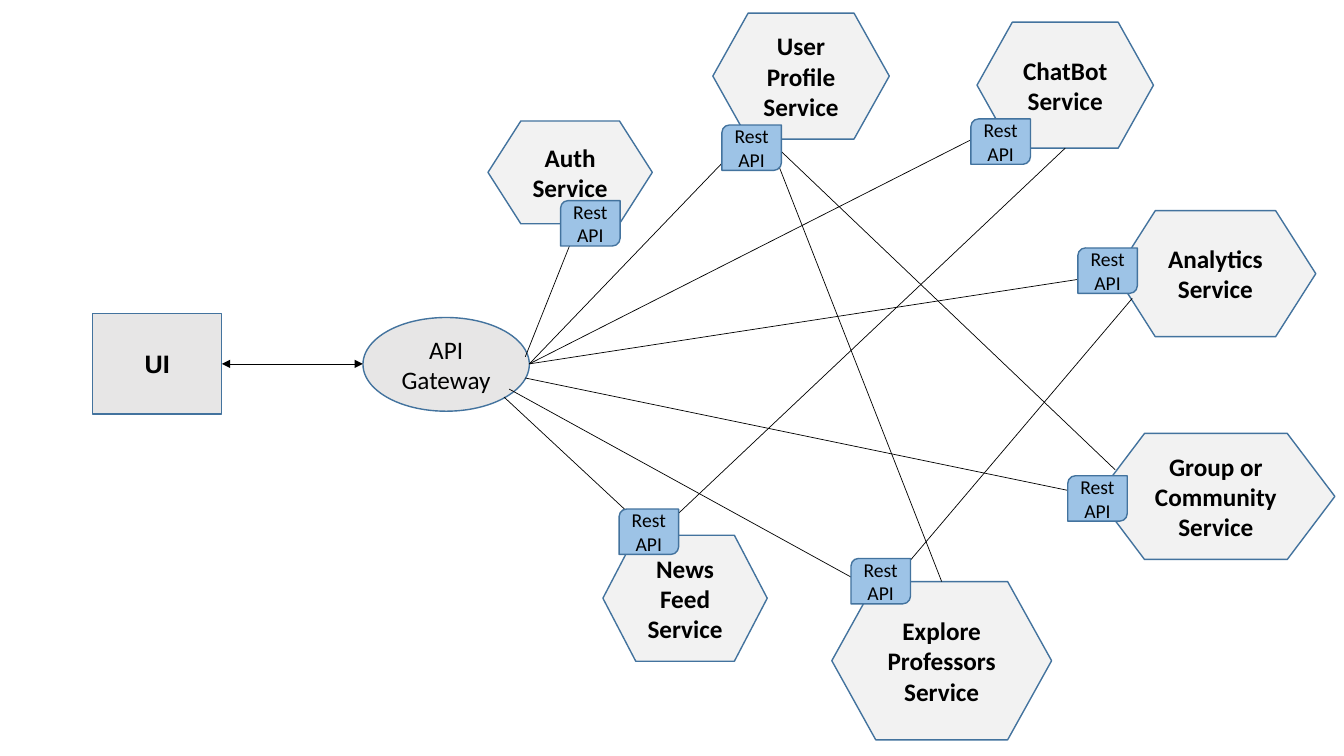
from lxml import etree
from pptx import Presentation
from pptx.dml.color import RGBColor
from pptx.enum.shapes import MSO_CONNECTOR, MSO_SHAPE
from pptx.enum.text import MSO_ANCHOR, PP_ALIGN
from pptx.oxml.ns import qn
from pptx.util import Inches, Pt

RECT, OVAL = MSO_SHAPE.RECTANGLE, MSO_SHAPE.OVAL
HEXAGON = MSO_SHAPE.FLOWCHART_PREPARATION
BADGE = MSO_SHAPE.ROUND_2_DIAG_RECTANGLE
STRAIGHT = MSO_CONNECTOR.STRAIGHT
CENTER, MIDDLE = PP_ALIGN.CENTER, MSO_ANCHOR.MIDDLE
TOP, LEFT, BOTTOM, RIGHT = range(4)

CELL = Inches(0.1)  # grid of 133.3 columns by 75 rows
BADGE_SIZE = (5.9, 4.5)
GATEWAY_RIGHT = (52.5, 36.1)
PROFILE_API = (76.2, 13.8)

# name: text, box of the hexagon, corner of its API badge
SERVICES = {
    "profile": ("User Profile\nService", (70.7, 1.3, 17.5, 12.5), (71.6, 12.4)),
    "news": ("News Feed Service", (59.8, 53.1, 16.3, 12.5), (61.4, 50.5)),
    "explore": ("Explore Professors\nService", (82.5, 57.7, 21.8, 15.7), (84.4, 55.4)),
    "group": ("Group or\nCommunity\nService", (108.8, 43, 23.6, 12.5), (105.9, 47.2)),
    "analytics": ("Analytics\nService", (110.6, 20.9, 19.9, 12.5), (106.9, 24.6)),
    "auth": ("Auth\nService", (48.4, 12, 16.3, 10.2), (55.6, 19.9)),
    "chatbot": ("ChatBot\vService", (96.9, 2.2, 17.5, 12.5), (96.3, 11.8)),
}


def color(value):
    return RGBColor.from_string(value)


def write(tf, text, font="Calibri", size=18, bold=False, fill="000000"):
    tf.word_wrap = True
    tf.vertical_anchor = MIDDLE
    for i, line in enumerate(text.split("\n")):
        p = tf.add_paragraph() if i else tf.paragraphs[0]
        p.text = line
        p.alignment = CENTER
        for r in p.runs:
            r.font.name, r.font.size, r.font.bold = font, Pt(size), bold
            r.font.color.rgb = color(fill)


class Diagram:
    GRAY, PALE, BLUE = "E7E6E6", "F2F2F2", "9DC3E6"
    BORDER, INK = "43739E", "000000"

    def __init__(self, slide):
        self.s = slide

    def node(self, kind, box, text, fill, **fmt):
        sp = self.s.shapes.add_shape(kind, *(int(v * CELL) for v in box))
        sp.shadow.inherit = False
        sp.fill.solid()
        sp.fill.fore_color.rgb = color(fill)
        sp.line.color.rgb = color(self.BORDER)
        sp.line.width = Pt(1)
        write(sp.text_frame, text, **fmt)
        return sp

    def service(self, text, box):
        return self.node(HEXAGON, box, text, self.PALE, bold=True)

    def badge(self, corner):
        return self.node(BADGE, corner + BADGE_SIZE, "Rest API", self.BLUE, size=14)

    def arrow(self, start, end, both=False):
        """Each end is a grid point or a (shape, side) pair."""
        points = [e if isinstance(e[0], (int, float)) else (0, 0) for e in (start, end)]
        cx = self.s.shapes.add_connector(
            STRAIGHT, *(int(v * CELL) for point in points for v in point))
        for e, join in ((start, cx.begin_connect), (end, cx.end_connect)):
            if not isinstance(e[0], (int, float)):
                join(*e)
        cx.line.color.rgb = color(self.INK)
        cx.line.width = Pt(0.5)
        ln = cx.line._get_or_add_ln()
        for tag in ("a:headEnd", "a:tailEnd")[0 if both else 1:]:
            etree.SubElement(ln, qn(tag), type="triangle")
        etree.SubElement(cx._element.spPr, qn("a:effectLst"))


def main():
    prs = Presentation()
    prs.slide_width, prs.slide_height = Inches(13.33), Inches(7.5)
    d = Diagram(prs.slides.add_slide(prs.slide_layouts[6]))

    # Client and gateway
    ui = d.node(RECT, (9.2, 31.1, 12.8, 10), "UI", d.GRAY, font="Arial", bold=True)
    d.node(OVAL, (36, 31.5, 16.5, 9.3), "API Gateway", d.GRAY)
    d.arrow((ui, RIGHT), (36, 36.1), both=True)

    # Services
    hexes = {name: d.service(text, box) for name, (text, box, _) in SERVICES.items()}

    # Gateway to services
    for start, end in (
        ((52.1, 35.4), (57.4, 22.1)),
        (GATEWAY_RIGHT, (74.1, 13.6)),
        (GATEWAY_RIGHT, (99.2, 12.4)),
        (GATEWAY_RIGHT, (hexes["analytics"], LEFT)),
        ((52.1, 37.5), (hexes["group"], LEFT)),
        ((50.5, 38.6), (86.5, 58.4)),
        ((50, 39.4), (64.4, 52.8)),
    ):
        d.arrow(start, end)

    # Service to service
    for start, end in (
        ((hexes["chatbot"], BOTTOM), (65, 53.1)),
        ((hexes["explore"], TOP), PROFILE_API),
        ((110.6, 46.6), PROFILE_API),
        ((112.3, 29.6), (88.5, 57.7)),
    ):
        d.arrow(start, end)

    # API badges cover the arrow ends
    for _, _, corner in SERVICES.values():
        d.badge(corner)

    prs.save("out.pptx")


if __name__ == "__main__":
    main()
